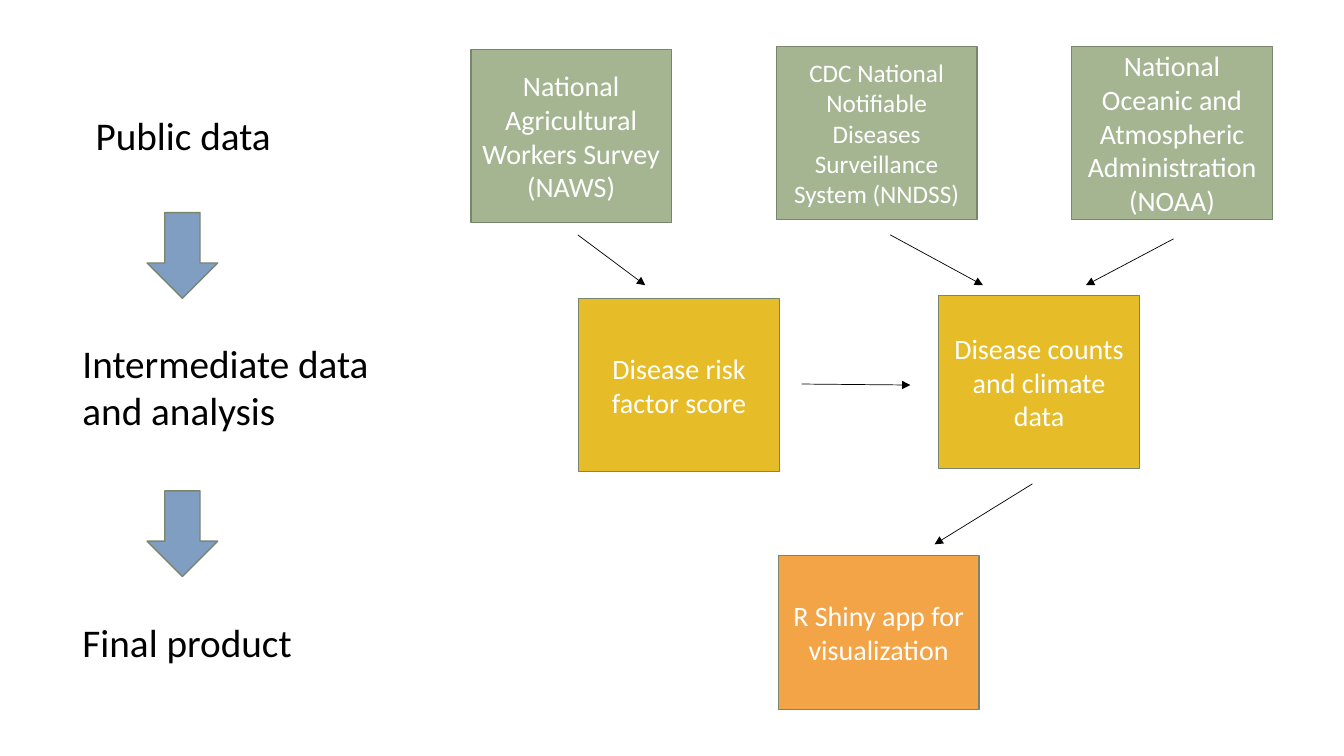
from lxml.etree import SubElement
from pptx import Presentation
from pptx.dml.color import RGBColor
from pptx.enum.shapes import MSO_CONNECTOR, MSO_SHAPE
from pptx.enum.text import MSO_ANCHOR, MSO_AUTO_SIZE, PP_ALIGN
from pptx.oxml.ns import qn
from pptx.util import Inches, Pt

GREEN = RGBColor(0xA5, 0xB5, 0x92)
YELLOW = RGBColor(0xE7, 0xBC, 0x29)
ORANGE = RGBColor(0xF3, 0xA4, 0x47)
BLUE = RGBColor(0x80, 0x9E, 0xC2)
OUTLINE = RGBColor(0x7A, 0x86, 0x6C)
WHITE = RGBColor(0xFF, 0xFF, 0xFF)
BLACK = RGBColor(0, 0, 0)
FONT = "Calibri"

# Positions and sizes are percentages of the slide's width and height.
STEP_WIDTH = 14.93
SOURCE_HEIGHT, PRODUCT_HEIGHT = 22.93, 20.4
STEPS = [
    ("National Agricultural Workers Survey (NAWS)", 35.03, 6.53, SOURCE_HEIGHT, GREEN, 20),
    ("CDC National Notifiable Diseases Surveillance System (NNDSS)", 57.76, 6.13, SOURCE_HEIGHT, GREEN, 18),
    ("National Oceanic and Atmospheric Administration (NOAA)", 79.74, 6.13, SOURCE_HEIGHT, GREEN, 20),
    ("Disease counts and climate data", 69.84, 39.07, SOURCE_HEIGHT, YELLOW, 20),
    ("Disease risk factor score", 43.06, 39.47, SOURCE_HEIGHT, YELLOW, 20),
    ("R Shiny app for visualization", 57.91, 73.47, PRODUCT_HEIGHT, ORANGE, 20),
]
STAGES = [
    ("Public data", 6.38, 14.13, 21.53, 8),
    ("Intermediate data and analysis", 5.4, 44.27, 24.31, 14.53),
    ("Final product", 5.4, 81.07, 21.53, 8),
]
STAGE_ARROW_LEFT, STAGE_ARROW_WIDTH, STAGE_ARROW_HEIGHT = 10.95, 5.25, 11.33
STAGE_ARROW_TOPS = [28.13, 64.93]
FLOWS = [
    ((59.64, 50.8), (67.74, 50.93)),
    ((76.82, 64), (69.54, 72)),
    ((42.99, 31.07), (48.01, 37.73)),
    ((66.24, 31.07), (73.14, 37.73)),
    ((87.32, 31.6), (80.8, 37.73)),
]

deck = Presentation()
deck.slide_width, deck.slide_height = Inches(13.33), Inches(7.5)
slide = deck.slides.add_slide(deck.slide_layouts[6])


def across(share):
    return round(deck.slide_width * share / 100)


def down(share):
    return round(deck.slide_height * share / 100)


def place(left, top, width, height):
    return across(left), down(top), across(width), down(height)


def write(frame, words, size, color, align):
    frame.word_wrap = True
    paragraph = frame.paragraphs[0]
    paragraph.alignment = align
    run = paragraph.add_run()
    run.text = words
    run.font.name = FONT
    run.font.size = Pt(size)
    run.font.color.rgb = color


def add_block(preset, box, fill):
    block = slide.shapes.add_shape(preset, *place(*box))
    block.shadow.inherit = False
    block.fill.solid()
    block.fill.fore_color.rgb = fill
    block.line.color.rgb = OUTLINE
    block.line.width = Pt(1)
    return block


for words, left, top, height, fill, size in STEPS:
    step = add_block(MSO_SHAPE.RECTANGLE, (left, top, STEP_WIDTH, height), fill)
    step.text_frame.vertical_anchor = MSO_ANCHOR.MIDDLE
    write(step.text_frame, words, size, WHITE, PP_ALIGN.CENTER)

for words, *box in STAGES:
    stage = slide.shapes.add_textbox(*place(*box))
    write(stage.text_frame, words, 28, BLACK, PP_ALIGN.LEFT)
    stage.text_frame.auto_size = MSO_AUTO_SIZE.SHAPE_TO_FIT_TEXT

for top in STAGE_ARROW_TOPS:
    add_block(MSO_SHAPE.DOWN_ARROW,
              (STAGE_ARROW_LEFT, top, STAGE_ARROW_WIDTH, STAGE_ARROW_HEIGHT), BLUE)

for (start_x, start_y), (end_x, end_y) in FLOWS:
    flow = slide.shapes.add_connector(
        MSO_CONNECTOR.STRAIGHT, across(start_x), down(start_y), across(end_x), down(end_y))
    flow.line.color.rgb = BLACK
    flow.line.width = Pt(0.5)
    SubElement(flow.line._get_or_add_ln(), qn("a:tailEnd"), type="triangle")
    SubElement(flow._element.spPr, qn("a:effectLst"))

deck.save("out.pptx")
